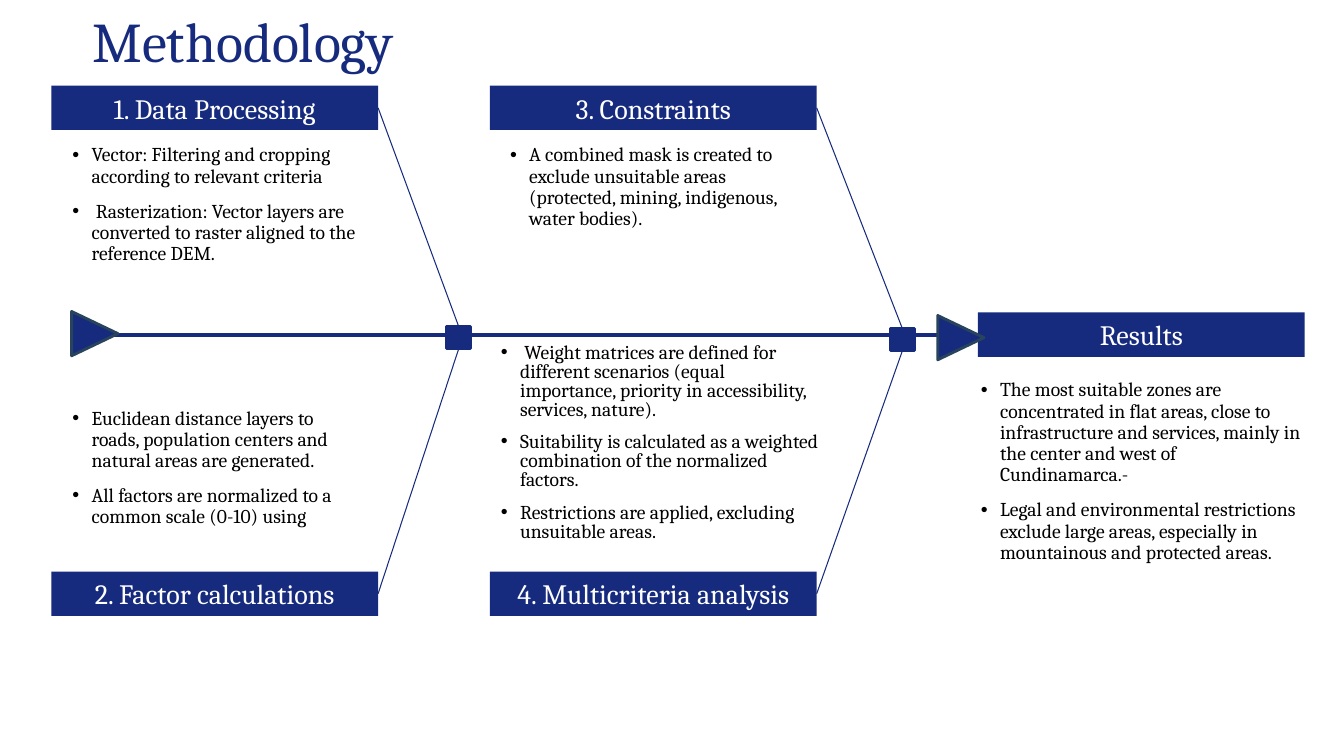
from lxml import etree
from pptx import Presentation
from pptx.dml.color import RGBColor
from pptx.enum.shapes import MSO_CONNECTOR, MSO_SHAPE
from pptx.enum.text import MSO_ANCHOR, PP_ALIGN
from pptx.oxml.ns import qn
from pptx.util import Inches, Pt

NAVY, SLATE, WHITE, BLACK = "172B7E", "28445D", "FFFFFF", "000000"
FONT = "Cambria"
HEADING_W, HEADING_H = 3.24, 0.44
JOINT_W, JOINT_H = 0.24, 0.22
ARROW_W, ARROW_H = 0.44, 0.46
TOP, LEFT, BOTTOM, RIGHT = range(4)


def color(hex_string):
    return RGBColor.from_string(hex_string)


def add_bullet(paragraph):
    properties = paragraph._p.get_or_add_pPr()
    properties.set("marL", str(Inches(0.2)))
    properties.set("indent", str(Inches(-0.19)))
    bullet_color = etree.SubElement(properties, qn("a:buClr"))
    etree.SubElement(bullet_color, qn("a:srgbClr"), val=BLACK)
    etree.SubElement(properties, qn("a:buFont"), typeface="Arial")
    etree.SubElement(properties, qn("a:buChar"), char="•")
    tabs = etree.SubElement(properties, qn("a:tabLst"))
    etree.SubElement(tabs, qn("a:tab"), pos=str(Inches(1.67)), algn="l")


def write(shape, *texts, size=14, ink=BLACK, align=PP_ALIGN.LEFT,
          anchor=MSO_ANCHOR.TOP, bullets=False, spacing=None):
    frame = shape.text_frame
    frame.word_wrap = True
    frame.vertical_anchor = anchor
    for index, text in enumerate(texts):
        paragraph = frame.add_paragraph() if index else frame.paragraphs[0]
        if bullets:
            add_bullet(paragraph)
        paragraph.alignment = align
        if spacing:
            paragraph.line_spacing = spacing
        if index:
            paragraph.space_before = Pt(10)
        run = paragraph.add_run()
        run.text = text
        run.font.name = FONT
        run.font.size = Pt(size)
        run.font.color.rgb = color(ink)


def add_block(slide, kind, left, top, width, height, outline=None):
    block = slide.shapes.add_shape(
        kind, Inches(left), Inches(top), Inches(width), Inches(height))
    block.shadow.inherit = False
    block.fill.solid()
    block.fill.fore_color.rgb = color(NAVY)
    if outline:
        block.line.color.rgb = color(outline)
        block.line.width = Pt(2)
    else:
        block.line.fill.background()
    return block


def add_line(slide, start, end, width):
    line = slide.shapes.add_connector(
        MSO_CONNECTOR.STRAIGHT, *(Inches(value) for value in (*start, *end)))
    line.line.color.rgb = color(NAVY)
    line.line.width = Pt(width)
    etree.SubElement(line._element.spPr, qn("a:effectLst"))
    return line


def add_textbox(slide, left, top, width, height):
    return slide.shapes.add_textbox(
        Inches(left), Inches(top), Inches(width), Inches(height))


def add_title(slide, left, top, width, height):
    write(add_textbox(slide, left, top, width, height), "Methodology",
          size=40, ink=NAVY, anchor=MSO_ANCHOR.MIDDLE)


def add_heading(slide, text, left, top):
    heading = add_block(slide, MSO_SHAPE.RECTANGLE, left, top, HEADING_W, HEADING_H)
    write(heading, text, size=20, ink=WHITE, align=PP_ALIGN.CENTER,
          anchor=MSO_ANCHOR.MIDDLE)
    return heading


def add_details(slide, points, box, spacing=0.9):
    write(add_textbox(slide, *box), *points, bullets=True, spacing=spacing)


def add_arrowhead(slide, left, top):
    arrowhead = add_block(slide, MSO_SHAPE.ISOSCELES_TRIANGLE, left, top,
                          ARROW_W, ARROW_H, outline=SLATE)
    arrowhead.rotation = 90


def add_results(slide, left, top, points):
    """Results heading, its details and the spine that leads to it."""
    heading = add_heading(slide, "Results", left, top)
    axis = top + HEADING_H / 2
    spine = add_line(slide, (left, axis), (0.74, axis), 3)
    spine.begin_connect(heading, LEFT)
    add_arrowhead(slide, 0.72, top - 0.02)
    add_arrowhead(slide, left - 0.39, top + 0.02)
    add_details(slide, points, (left - 0.08, top + 0.62, 3.41, 2.32))


def add_stage_pair(slide, left, top, height, joint_left, joint_top, upper, lower):
    """Two stages, above and below the spine, that meet in one joint."""
    joint = add_block(slide, MSO_SHAPE.RECTANGLE, joint_left, joint_top,
                      JOINT_W, JOINT_H, outline=NAVY)
    joint_x = joint_left + JOINT_W / 2
    stages = ((upper, top, TOP, joint_top),
              (lower, top + height - HEADING_H, BOTTOM, joint_top + JOINT_H))
    for stage, heading_top, joint_side, joint_y in stages:
        heading = add_heading(slide, stage["heading"], left, heading_top)
        rib = add_line(slide, (joint_x, joint_y),
                       (left + HEADING_W, heading_top + HEADING_H / 2), 0.75)
        rib.begin_connect(joint, joint_side)
        rib.end_connect(heading, RIGHT)
        dx, dy, width, box_height = stage["box"]
        add_details(slide, stage["points"], (left + dx, top + dy, width, box_height),
                    stage.get("spacing", 0.9))


DATA_PROCESSING = {
    "heading": "1. Data Processing",
    "box": (0.1, 0.54, 3.05, 1.67),
    "points": [
        "Vector: Filtering and cropping according to relevant criteria",
        " Rasterization: Vector layers are converted to raster aligned to the reference DEM.",
    ],
}
FACTORS = {
    "heading": "2. Factor calculations",
    "box": (0.1, 3.15, 3.05, 1.67),
    "points": [
        "Euclidean distance layers to roads, population centers and natural areas are generated.",
        "All factors are normalized to a common scale (0-10) using",
    ],
}
CONSTRAINTS = {
    "heading": "3. Constraints",
    "box": (0.09, 0.54, 3.05, 1.67),
    "points": [
        "A combined mask is created to exclude unsuitable areas "
        "(protected, mining, indigenous, water bodies).",
    ],
}
MULTICRITERIA = {
    "heading": "4. Multicriteria analysis",
    "box": (0, 2.52, 3.41, 2.32),
    "spacing": 0.8,
    "points": [
        " Weight matrices are defined for different scenarios "
        "(equal importance, priority in accessibility, services, nature).",
        "Suitability is calculated as a weighted combination of the normalized factors.",
        "Restrictions are applied, excluding unsuitable areas.",
    ],
}
RESULTS = [
    "The most suitable zones are concentrated in flat areas, close to infrastructure "
    "and services, mainly in the center and west of Cundinamarca.-",
    "Legal and environmental restrictions exclude large areas, especially in "
    "mountainous and protected areas.",
]


def main():
    presentation = Presentation()
    presentation.slide_width = Inches(13.33)
    presentation.slide_height = Inches(7.5)
    slide = presentation.slides.add_slide(presentation.slide_layouts[6])

    add_title(slide, 0.82, 0.02, 11.69, 0.76)
    add_results(slide, 9.7, 3.1, RESULTS)
    add_stage_pair(slide, 0.51, 0.85, 5.26, 4.43, 3.24, DATA_PROCESSING, FACTORS)
    add_stage_pair(slide, 4.86, 0.85, 5.26, 8.83, 3.26, CONSTRAINTS, MULTICRITERIA)

    presentation.save("out.pptx")


if __name__ == "__main__":
    main()
